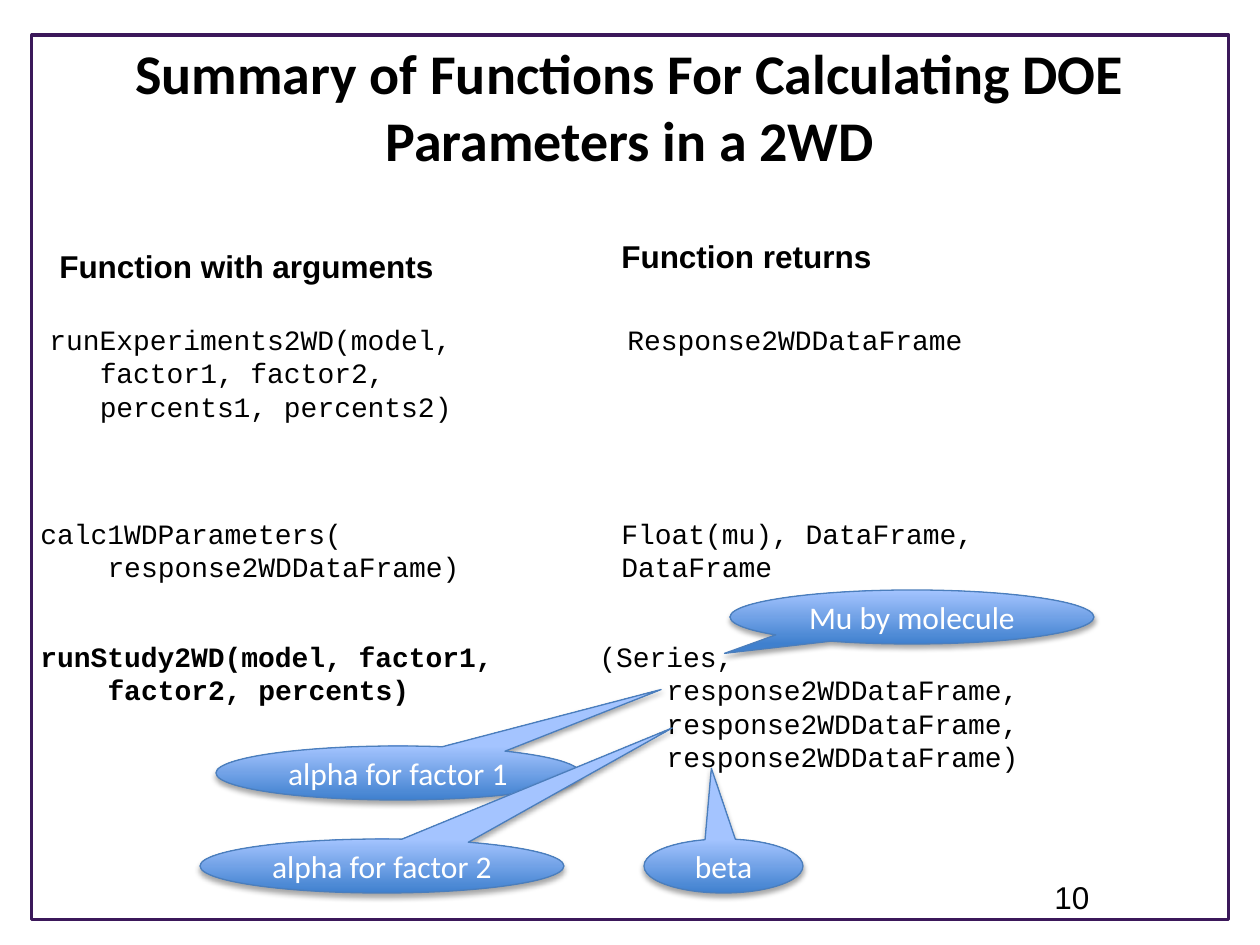
from lxml import etree
from pptx import Presentation
from pptx import util as u
from pptx.dml.color import RGBColor
from pptx.enum import shapes, text
from pptx.oxml.ns import qn

SCALE = 914400 / 126  # EMU per px
COLORS = {
    "text": "000000", "frame": "3B185A", "callout_text": "FFFFFF",
    "callout_line": "4B7EBC", "callout_dark": "3F80CE", "callout_light": "A4C4FF",
    "shadow": "000000",
}
FRAME = (32, 35, 1197, 885)
TITLE = ("Summary of Functions For Calculating DOE Parameters in a 2WD", (63, 32, 1134, 116))
PAGE_NUMBER = ("10", (1042, 872, 71, 50))
HEADINGS = [
    ("Function with arguments", (47, 241, 403, 50)),
    ("Function returns", (609, 231, 278, 50)),
]
# lines, box, indent of the continuation lines in characters, bold
CODE = [
    (["runExperiments2WD(model,", "factor1, factor2,", "percents1, percents2)"],
     (37, 316, 451, 115), 3, False),
    (["Response2WDDataFrame"], (615, 316, 365, 47), 0, False),
    (["calc1WDParameters(", "response2WDDataFrame)"], (28, 510, 451, 81), 4, False),
    (["Float(mu), DataFrame,", "DataFrame"], (609, 510, 399, 81), 0, False),
    (["runStudy2WD(model, factor1,", "factor2, percents)"], (28, 633, 501, 81), 4, True),
    (["(Series,", "response2WDDataFrame,", "response2WDDataFrame,", "response2WDDataFrame)"],
     (587, 633, 451, 149), 4, False),
]
# text, left, top, width, pointer tip relative to the centre
CALLOUTS = [
    ("Mu by molecule", 730, 590, 364, (-0.515, 0.673)),
    ("alpha for factor 1", 216, 746, 364, (0.723, -1.545)),
    ("alpha for factor 2", 200, 839, 364, (0.798, -2.557)),
    ("beta", 644, 839, 159, (-0.076, -1.81)),
]
CALLOUT_HEIGHT = 54
CODE_SIZE = 16
CHARACTER_WIDTH = 0.6  # Courier New advance, in em


def emu(box):
    return [round(length * SCALE) for length in box]


def color(name):
    return RGBColor.from_string(COLORS[name])


def style_text(shape, font, size, color_name="text", bold=False, align=text.PP_ALIGN.LEFT):
    for paragraph in shape.text_frame.paragraphs:
        paragraph.alignment = align
        for run in paragraph.runs:
            run.font.name = font
            run.font.size = u.Pt(size)
            run.font.bold = bold
            run.font.color.rgb = color(color_name)


def add_text(slide, content, box, wrap=False, **style):
    shape = slide.shapes.add_textbox(*emu(box))
    shape.text_frame.text = content
    shape.text_frame.word_wrap = wrap
    style_text(shape, **style)
    return shape


def add_code(slide, lines, box, indent, bold):
    shape = add_text(slide, "\n".join(lines), box, font="Courier New", size=CODE_SIZE, bold=bold)
    margin = u.Pt(indent * CODE_SIZE * CHARACTER_WIDTH)
    for paragraph in shape.text_frame.paragraphs[1:]:
        properties = paragraph._p.get_or_add_pPr()
        properties.set("marL", str(margin))
        properties.set("indent", "0")


def add_shadow(shape):
    shape.shadow.inherit = False
    effects = shape._element.spPr.find(qn("a:effectLst"))
    shadow = etree.SubElement(effects, qn("a:outerShdw"), blurRad=str(u.Pt(3.1)),
                              dist=str(u.Pt(1.8)), dir="5400000", rotWithShape="0")
    shade = etree.SubElement(shadow, qn("a:srgbClr"), val=COLORS["shadow"])
    etree.SubElement(shade, qn("a:alpha"), val="35000")


def add_callout(slide, label, left, top, width, tip):
    shape = slide.shapes.add_shape(shapes.MSO_SHAPE.OVAL_CALLOUT,
                                   *emu((left, top, width, CALLOUT_HEIGHT)))
    for index, offset in enumerate(tip):
        shape.adjustments[index] = offset
    shape.fill.gradient()
    shape.fill.gradient_angle = 90
    for stop, name in zip(shape.fill.gradient_stops, ("callout_dark", "callout_light")):
        stop.color.rgb = color(name)
    shape.line.color.rgb = color("callout_line")
    shape.line.width = u.Pt(0.75)
    add_shadow(shape)
    shape.text_frame.text = label
    shape.text_frame.vertical_anchor = text.MSO_ANCHOR.MIDDLE
    style_text(shape, "Calibri", 18, "callout_text", align=text.PP_ALIGN.CENTER)


def main():
    presentation = Presentation()
    presentation.slide_width, presentation.slide_height = emu((1260, 945))
    slide = presentation.slides.add_slide(presentation.slide_layouts[6])

    frame = slide.shapes.add_shape(shapes.MSO_SHAPE.RECTANGLE, *emu(FRAME))
    frame.shadow.inherit = False
    frame.fill.background()
    frame.line.color.rgb = color("frame")
    frame.line.width = u.Pt(1.75)

    add_text(slide, *TITLE, wrap=True, font="Calibri", size=32, bold=True,
             align=text.PP_ALIGN.CENTER)
    add_text(slide, *PAGE_NUMBER, font="Arial", size=18)
    for lines, box, indent, bold in CODE:
        add_code(slide, lines, box, indent, bold)
    for heading, box in HEADINGS:
        add_text(slide, heading, box, font="Arial", size=18, bold=True)
    for callout in CALLOUTS:
        add_callout(slide, *callout)

    presentation.save("out.pptx")


if __name__ == "__main__":
    main()
